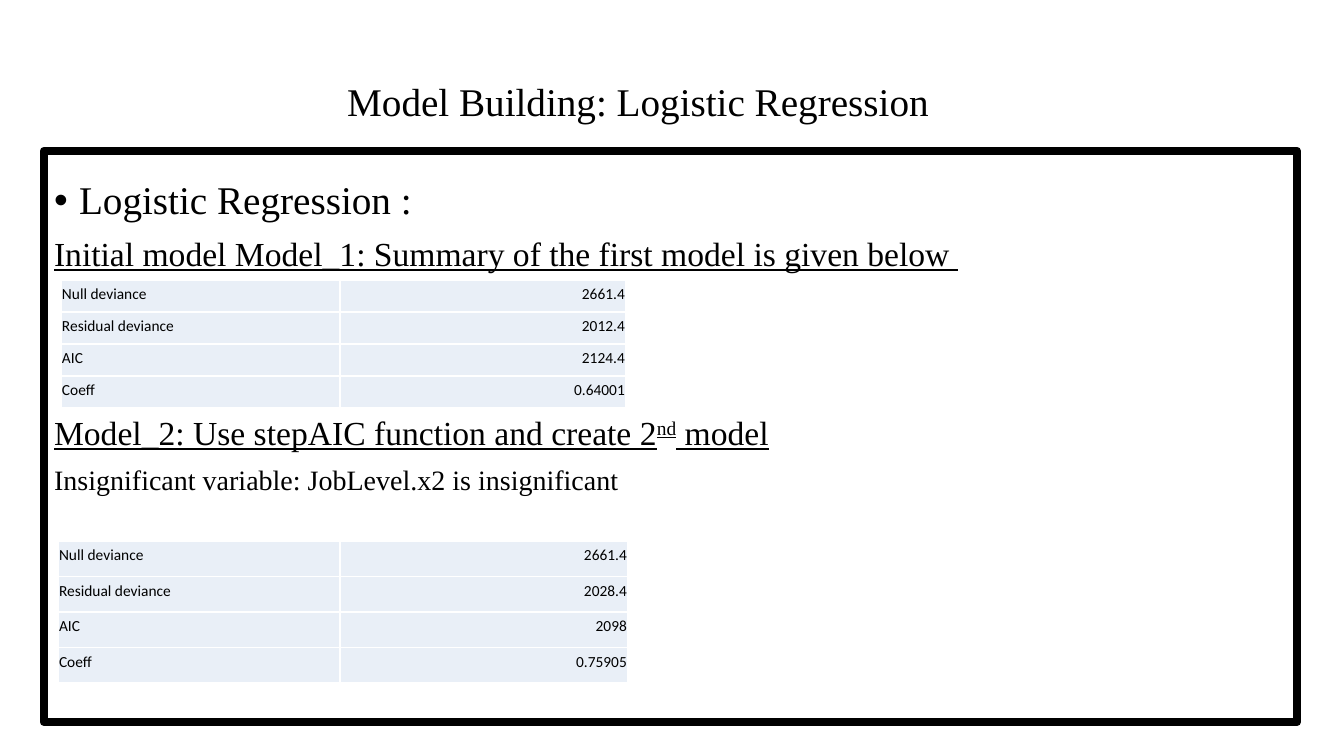
from lxml.etree import SubElement
from pptx import Presentation
from pptx.dml.color import RGBColor
from pptx.enum.shapes import MSO_SHAPE
from pptx.enum.text import MSO_ANCHOR, MSO_AUTO_SIZE, PP_ALIGN
from pptx.oxml.ns import qn
from pptx.util import Emu, Pt

BLACK, WHITE, PALE = "000000", "FFFFFF", "E9EFF7"
SERIF, SANS = "Times New Roman", "Calibri"
LABELS = ["Null deviance", "Residual deviance", "AIC", "Coeff"]


def px(n):
    return Emu(round(n * 914400 / 100.8))


def rgb(color):
    return RGBColor.from_string(color)


def place(sp, x, y, w, h):
    sp.left, sp.top, sp.width, sp.height = px(x), px(y), px(w), px(h)


def style(p, size, font=SERIF, underline=False):
    p.font.size, p.font.name = Pt(size), font
    p.font.bold, p.font.underline = False, underline
    p.font.color.rgb = rgb(BLACK)


def set_title(sp, text):
    place(sp, 125, 71, 1026, 66)
    tf = sp.text_frame
    tf.text = text
    tf.auto_size = MSO_AUTO_SIZE.NONE
    tf.vertical_anchor = MSO_ANCHOR.MIDDLE
    p = tf.paragraphs[0]
    p.alignment, p.line_spacing = PP_ALIGN.CENTER, 0.9
    style(p, 28)


def add_line(p, texts, size, before=10, bullet=False, underline=False):
    for text in texts:
        p.add_run().text = text
    style(p, size, underline=underline)
    p.line_spacing, p.space_before = 0.9, Pt(before)
    pPr = p._p.get_or_add_pPr()
    indent = px(25) if bullet else 0
    pPr.set("marL", str(indent))
    pPr.set("indent", str(-indent))
    mark = pPr.makeelement(qn("a:buChar" if bullet else "a:buNone"))
    if bullet:
        mark.set("char", "•")
    pPr.find(qn("a:defRPr")).addprevious(mark)


def set_body(sp):
    place(sp, 44, 176, 1231, 519)
    tf = sp.text_frame
    tf.auto_size = MSO_AUTO_SIZE.NONE
    tf.vertical_anchor = MSO_ANCHOR.TOP
    add_line(tf.paragraphs[0], ["Logistic Regression :"], 28, bullet=True)
    add_line(tf.add_paragraph(),
             ["Initial model Model_1: Summary of the first model is given below "],
             24, underline=True)
    p = tf.add_paragraph()
    add_line(p, ["Model_2: Use stepAIC function and create 2", "nd", " model"],
             24, before=102, underline=True)
    p.runs[1]._r.get_or_add_rPr().set("baseline", "30000")
    add_line(tf.add_paragraph(),
             ["Insignificant variable: JobLevel.x2 is insignificant"], 20)


def set_borders(cell, color, width):
    tcPr = cell._tc.get_or_add_tcPr()
    for side in ("lnL", "lnR", "lnT", "lnB"):
        ln = SubElement(tcPr, qn(f"a:{side}"), w=str(Pt(width)))
        fill = SubElement(ln, qn("a:solidFill"))
        SubElement(fill, qn("a:srgbClr"), val=color)


def set_cell(cell, text, align):
    set_borders(cell, WHITE, 0.96)
    cell.fill.solid()
    cell.fill.fore_color.rgb = rgb(PALE)
    cell.margin_left = cell.margin_right = px(1)
    cell.margin_top = cell.margin_bottom = px(5)
    cell.text = text
    p = cell.text_frame.paragraphs[0]
    p.alignment = align
    style(p, 11, SANS)


def add_summary(slide, x, y, widths, row_height, values):
    rows = len(values)
    table = slide.shapes.add_table(rows, 2, px(x), px(y), px(sum(widths)),
                                   px(rows * row_height)).table
    table.first_row = table.horz_banding = False
    for column, width in zip(table.columns, widths):
        column.width = px(width)
    for i, (label, value) in enumerate(zip(LABELS, values)):
        table.rows[i].height = px(row_height)
        set_cell(table.cell(i, 0), label, PP_ALIGN.LEFT)
        set_cell(table.cell(i, 1), value, PP_ALIGN.RIGHT)


def add_frame(slide, x, y, w, h):
    sp = slide.shapes.add_shape(MSO_SHAPE.RECTANGLE, px(x), px(y), px(w), px(h))
    sp.shadow.inherit = False
    sp.fill.background()
    sp.line.color.rgb = rgb(BLACK)
    sp.line.width = Pt(6)


def main():
    prs = Presentation()
    prs.slide_width, prs.slide_height = px(1344), px(756)
    slide = prs.slides.add_slide(prs.slide_layouts[1])
    title, body = slide.placeholders
    set_title(title, "Model Building: Logistic Regression")
    set_body(body)
    add_summary(slide, 61, 280, (279, 286), 32,
                ["2661.4", "2012.4", "2124.4", "0.64001"])
    add_summary(slide, 58, 541, (282, 288), 35.5,
                ["2661.4", "2028.4", "2098", "0.75905"])
    add_frame(slide, 44, 151, 1253, 571)
    prs.save("out.pptx")


main()
